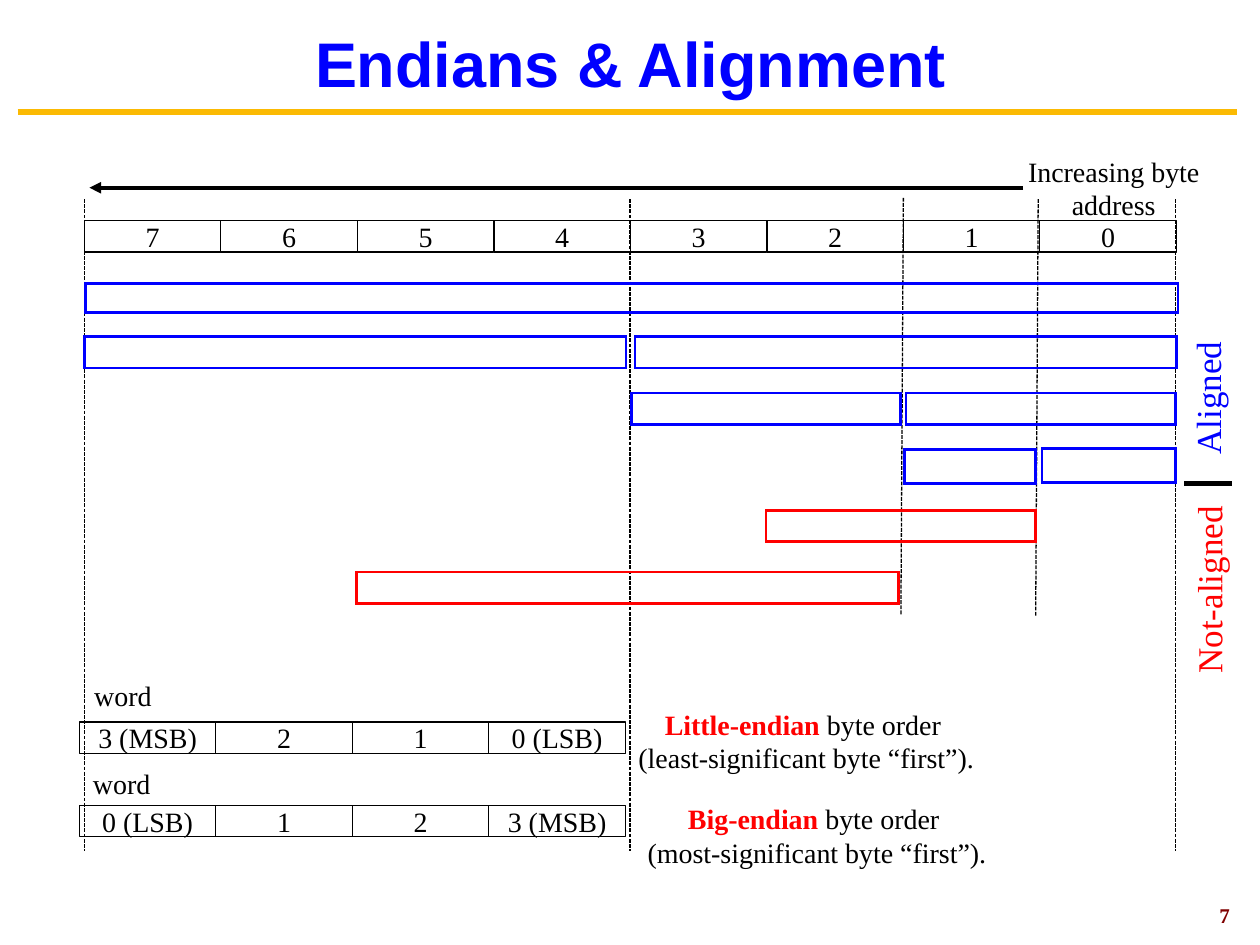
from pptx import Presentation
from pptx.dml.color import RGBColor
from pptx.enum.dml import MSO_LINE
from pptx.enum.shapes import MSO_CONNECTOR, MSO_SHAPE
from pptx.enum.text import MSO_ANCHOR, MSO_AUTO_SIZE, PP_ALIGN
from pptx.oxml.ns import qn
from pptx.util import Inches, Pt
from lxml.etree import SubElement

BLACK = RGBColor(0x00, 0x00, 0x00)
BLUE = RGBColor(0x00, 0x00, 0xFF)
RED = RGBColor(0xFF, 0x00, 0x00)
MAROON = RGBColor(0x80, 0x00, 0x00)
GOLD = RGBColor(0xFB, 0xBA, 0x03)

BYTE_LEFT, BYTE_WIDTH, BYTE_HEIGHT = 0.67, 13 / 12, 0.25
WORD_LEFT = 0.63

prs = Presentation()
prs.slide_width, prs.slide_height = Inches(10), Inches(7.5)
slide = prs.slides.add_slide(prs.slide_layouts[6])
shapes = slide.shapes


def write(shape, lines, size=16, font="Times New Roman", align=PP_ALIGN.CENTER,
          anchor=MSO_ANCHOR.MIDDLE, wrap=False):
    """Fill a shape with lines, each a list of (text, colour, bold) runs."""
    frame = shape.text_frame
    frame.word_wrap = wrap
    frame.vertical_anchor = anchor
    if not wrap:
        frame.margin_left = frame.margin_right = Inches(0.02)
    paragraph = frame.paragraphs[0]
    paragraph.alignment = align
    for number, line in enumerate(lines):
        if number:
            paragraph.add_line_break()
        for text, color, bold in line:
            run = paragraph.add_run()
            run.text = text
            run.font.size = Pt(size)
            run.font.name = font
            run.font.bold = bold
            run.font.color.rgb = color


def add_line(start, end, color=BLACK, width=0.75):
    line = shapes.add_connector(MSO_CONNECTOR.STRAIGHT, *map(Inches, start + end))
    line.line.color.rgb = color
    line.line.width = Pt(width)
    SubElement(line._element.spPr, qn("a:effectLst"))
    return line


# Title, rule and page number
add_line((0.14, 0.89), (9.82, 0.89), GOLD, 3.75)
page_number = shapes.add_textbox(Inches(9.59), Inches(7.15), Inches(0.26), Inches(0.23))
write(page_number, [[("7", MAROON, True)]], size=12)
title = shapes.add_textbox(Inches(0.19), Inches(0.16), Inches(9.63), Inches(0.67))
write(title, [[("Endians & Alignment", BLUE, True)]], size=36, font="Arial", wrap=True)

# Byte addresses and the two byte orders of a word
byte_rows = [
    (BYTE_LEFT, 1.75, ["7", "6", "5", "4", "3", "2", "1", "0"]),
    (WORD_LEFT, 5.73, ["3 (MSB)", "2", "1", "0 (LSB)"]),
    (WORD_LEFT, 6.39, ["0 (LSB)", "1", "2", "3 (MSB)"]),
]
for left, top, labels in byte_rows:
    for column, label in enumerate(labels):
        cell = shapes.add_shape(MSO_SHAPE.RECTANGLE, Inches(left + column * BYTE_WIDTH),
                                Inches(top), Inches(BYTE_WIDTH), Inches(BYTE_HEIGHT))
        cell.shadow.inherit = False
        cell.fill.background()
        cell.line.color.rgb = BLACK
        cell.line.width = Pt(0.75)
        write(cell, [[(label, BLACK, False)]])

# Dotted boundaries between the units
boundaries = [
    ((0.67, 1.58), (0.67, 6.75)),
    ((5, 1.58), (5, 6.75)),
    ((9.33, 1.58), (9.33, 6.75)),
    ((7.17, 1.57), (7.15, 4.88)),
    ((8.24, 1.58), (8.22, 4.89)),
]
for start, end in boundaries:
    add_line(start, end).line.dash_style = MSO_LINE.SQUARE_DOT

# Aligned accesses in blue, unaligned ones in red
accesses = [
    (0.68, 2.25, 8.67, 0.23, BLUE),
    (0.67, 2.67, 4.3, 0.25, BLUE),
    (5.04, 2.67, 4.3, 0.25, BLUE),
    (5.01, 3.12, 2.14, 0.25, BLUE),
    (7.19, 3.12, 2.14, 0.25, BLUE),
    (7.18, 3.57, 1.04, 0.27, BLUE),
    (8.27, 3.56, 1.06, 0.27, BLUE),
    (6.08, 4.05, 2.14, 0.25, RED),
    (2.83, 4.54, 4.3, 0.25, RED),
]
for *box, color in accesses:
    access = shapes.add_shape(MSO_SHAPE.RECTANGLE, *map(Inches, box))
    access.shadow.inherit = False
    access.fill.background()
    access.line.color.rgb = color
    access.line.width = Pt(1.5)
    SubElement(access.get_or_add_ln(), qn("a:miter"), lim="800000")

# Direction of increasing addresses
address_arrow = add_line((8.12, 1.49), (0.71, 1.49), width=2.25)
SubElement(address_arrow.get_or_add_ln(), qn("a:tailEnd"), type="triangle")

captions = [
    (8.06, 1.17, 1.56, 0.64, [[("Increasing byte", BLACK, False)],
                              [("address", BLACK, False)]]),
    (4.97, 5.56, 2.86, 0.64, [[("Little-endian ", RED, True), ("byte order ", BLACK, False)],
                              [("(least-significant byte “first”).", BLACK, False)]]),
    (5.04, 6.31, 2.89, 0.64, [[("Big-endian", RED, True), (" byte order ", BLACK, False)],
                              [("(most-significant byte “first”).", BLACK, False)]]),
    (0.65, 5.33, 0.65, 0.37, [[("word", BLACK, False)]]),
    (0.64, 6.03, 0.65, 0.37, [[("word", BLACK, False)]]),
]
for *box, lines in captions:
    caption = shapes.add_textbox(*map(Inches, box))
    write(caption, lines)
    caption.text_frame.auto_size = MSO_AUTO_SIZE.SHAPE_TO_FIT_TEXT

# Vertical labels and the divider between them
for left, top, width, label, color in [
    (8.95, 2.85, 1.27, "Aligned", BLUE),
    (8.69, 4.32, 1.81, "Not-aligned", RED),
]:
    side_label = shapes.add_textbox(Inches(left), Inches(top), Inches(width), Inches(0.44))
    side_label.rotation = 270
    write(side_label, [[(label, color, False)]], size=20, align=PP_ALIGN.LEFT,
          anchor=MSO_ANCHOR.TOP, wrap=True)
add_line((9.4, 3.84), (9.78, 3.84), width=3)

prs.save("out.pptx")
